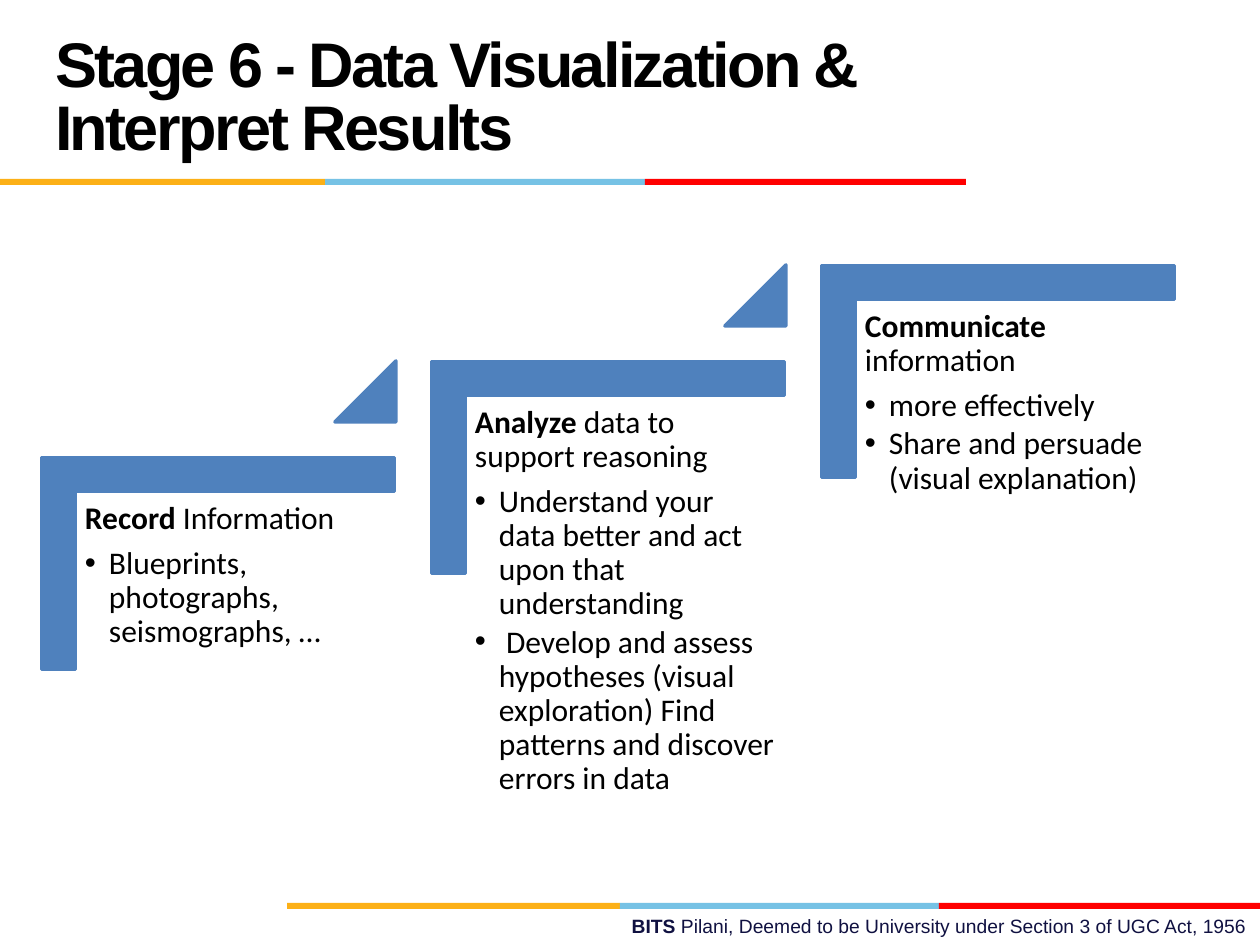
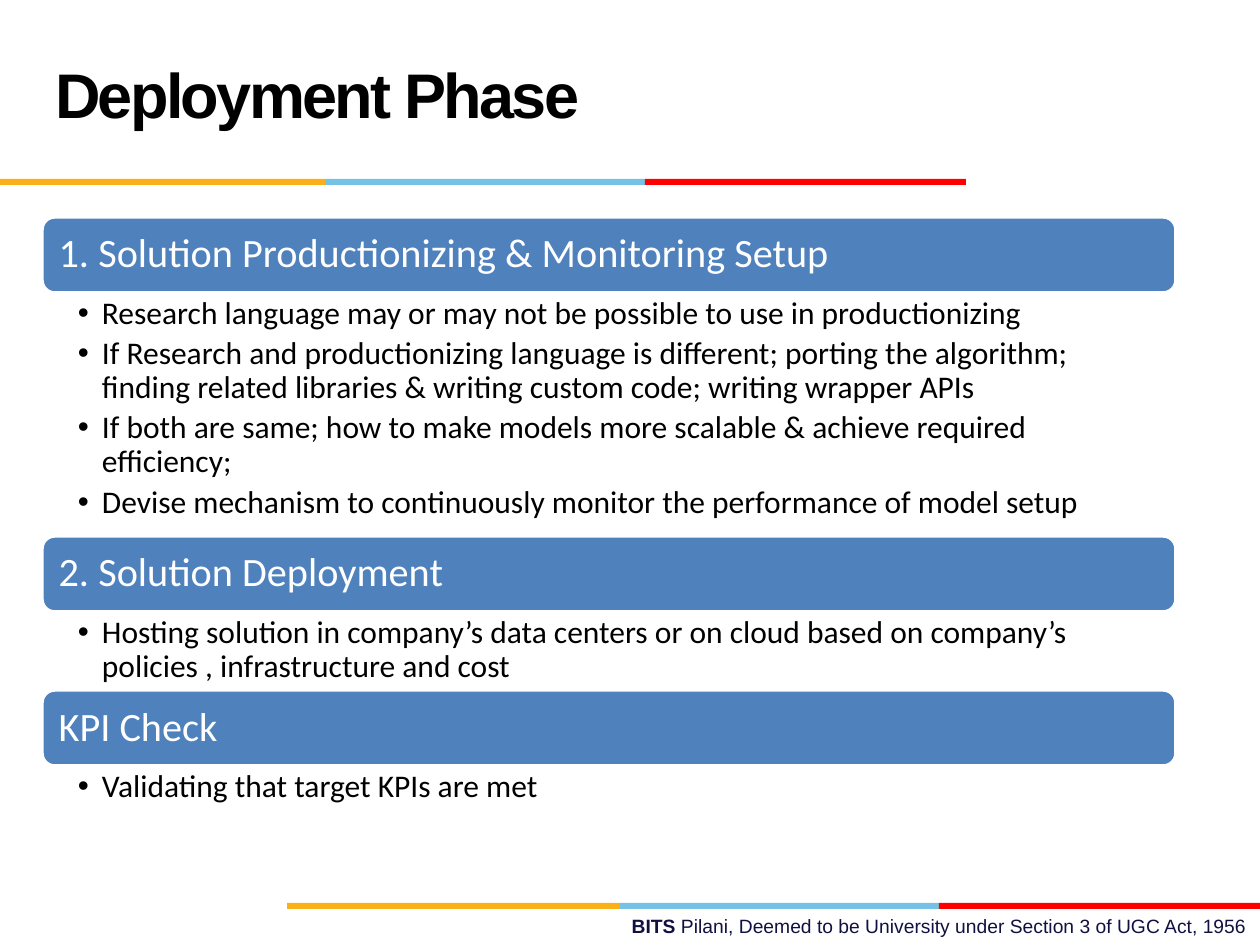
from dataclasses import dataclass

from lxml import etree
from pptx import Presentation
from pptx import util as u
from pptx.dml.color import RGBColor
from pptx.enum import shapes, text
from pptx.oxml import ns

EMU_PER_PX = 914400 / 126
SLIDE_WIDTH, SLIDE_HEIGHT = 1260, 945
TITLE_ONLY_LAYOUT = 5


@dataclass(frozen=True)
class Theme:
    black: str = "000000"
    white: str = "FFFFFF"
    navy: str = "101141"
    blue: str = "4F81BD"
    bands: tuple = ("FCB017", "76C2E5", "FF0000")
    heading_font: str = "Arial"
    body_font: str = "Calibri"
    title_size: int = 36
    bar_size: int = 23
    body_size: int = 18
    footer_size: int = 11


@dataclass(frozen=True)
class Box:
    left: int
    top: int
    width: int
    height: int

    def inner(self, left, top, width, height):
        """Return a box placed relative to this one."""
        return Box(self.left + left, self.top + top, width, height)

    def emu(self):
        return [px(value) for value in (self.left, self.top, self.width, self.height)]


THEME = Theme()
TITLE_BOX = Box(42, 21, 872, 158)
FOOTER_BOX = Box(451, 908, 809, 37)
TOP_BAND_EDGES = (0, 325, 645, 966)
BOTTOM_BAND_EDGES = (287, 620, 939, 1260)

# Each step: bold lead word, rest of the heading, bullets
STEPS = [
    ("Record", " Information", ["Blueprints, photographs, seismographs, …"]),
    ("Analyze", " data to support reasoning", [
        "Understand your data better and act upon that understanding",
        " Develop and assess hypotheses (visual exploration) Find patterns "
        "and discover errors in data",
    ]),
    ("Communicate", " information", [
        "more effectively",
        "Share and persuade (visual explanation)",
    ]),
]

# Each section: heading, height of its list, bullets
SECTIONS = [
    ("1. Solution Productionizing & Monitoring Setup", 243, [
        "Research language may or may not be possible to use in productionizing",
        "If Research and productionizing language is different; porting the algorithm; "
        "finding related libraries & writing custom code; writing wrapper APIs",
        "If both are same; how to make models more scalable & achieve required efficiency;",
        "Devise mechanism to continuously monitor the performance of model setup",
    ]),
    ("2. Solution Deployment", 78, [
        "Hosting solution in company’s data centers or on cloud based on company’s "
        "policies , infrastructure and cost",
    ]),
    ("KPI Check", 53, ["Validating that target KPIs are met"]),
]


def px(value):
    return u.Emu(round(value * EMU_PER_PX))


def set_bullet(paragraph, indent=24):
    properties = paragraph._p.get_or_add_pPr()
    properties.set("marL", str(px(indent)))
    properties.set("indent", str(-px(indent)))
    etree.SubElement(properties, ns.qn("a:buFont"), typeface="Arial")
    etree.SubElement(properties, ns.qn("a:buChar"), char="•")


def set_frame(frame, insets, anchor=text.MSO_ANCHOR.TOP):
    """Set wrapping, anchor and insets (left, top, right, bottom)."""
    frame.word_wrap = True
    frame.auto_size = text.MSO_AUTO_SIZE.NONE
    frame.vertical_anchor = anchor
    (frame.margin_left, frame.margin_top,
     frame.margin_right, frame.margin_bottom) = map(px, insets)


def write(frame, runs, *, size=THEME.body_size, font=THEME.body_font,
          colour=THEME.black, align=text.PP_ALIGN.LEFT, line_spacing=0.9,
          space_after=0, bullet=False, tracking=None):
    """Add one paragraph of (text, bold) runs; the first one fills the empty paragraph."""
    paragraph = frame.paragraphs[0]
    if paragraph.runs:
        paragraph = frame.add_paragraph()
    paragraph.alignment = align
    paragraph.line_spacing = line_spacing
    paragraph.space_before = u.Pt(0)
    paragraph.space_after = u.Pt(space_after)
    if bullet:
        set_bullet(paragraph)
    for content, bold in runs:
        run = paragraph.add_run()
        run.text = content
        run.font.size = u.Pt(size)
        run.font.name = font
        run.font.bold = bold
        run.font.color.rgb = RGBColor.from_string(colour)
        if tracking is not None:
            run._r.get_or_add_rPr().set("spc", str(round(tracking * 100)))


def write_bullets(frame, items, space_after):
    for item in items:
        write(frame, [(item, False)], bullet=True, space_after=space_after)


def add_text_box(slide, box, insets):
    frame = slide.shapes.add_textbox(*box.emu()).text_frame
    set_frame(frame, insets)
    return frame


def add_filled(slide, kind, box, fill, line=None):
    shape = slide.shapes.add_shape(kind, *box.emu())
    shape.shadow.inherit = False
    shape.fill.solid()
    shape.fill.fore_color.rgb = RGBColor.from_string(fill)
    if line:
        shape.line.color.rgb = RGBColor.from_string(line)
        shape.line.width = u.Pt(2)
    else:
        shape.line.fill.background()
    return shape


def add_bands(slide, top, edges):
    for left, right, colour in zip(edges, edges[1:], THEME.bands):
        add_filled(slide, shapes.MSO_SHAPE.RECTANGLE,
                   Box(left, top, right - left, 6), colour)


def add_footer(slide, box):
    frame = add_text_box(slide, box, (13, 6, 13, 6))
    write(frame, [("BITS ", True),
                  ("Pilani, Deemed to be University under Section 3 of UGC Act, 1956", False)],
          size=THEME.footer_size, font=THEME.heading_font, colour=THEME.navy,
          align=text.PP_ALIGN.RIGHT, line_spacing=1.0)


def add_base_slide(presentation, title):
    """Add a slide with the shared title style, bands and footer."""
    slide = presentation.slides.add_slide(presentation.slide_layouts[TITLE_ONLY_LAYOUT])
    placeholder = slide.shapes.title
    (placeholder.left, placeholder.top,
     placeholder.width, placeholder.height) = TITLE_BOX.emu()
    set_frame(placeholder.text_frame, (13, 6, 13, 6), text.MSO_ANCHOR.MIDDLE)
    write(placeholder.text_frame, [(title, True)], size=THEME.title_size,
          font=THEME.heading_font, line_spacing=u.Pt(THEME.title_size), tracking=-1.5)
    add_bands(slide, 179, TOP_BAND_EDGES)
    add_bands(slide, 903, BOTTOM_BAND_EDGES)
    add_footer(slide, FOOTER_BOX)
    return slide


def add_step(slide, box, step):
    lead, rest, bullets = step
    # The corner is turned a quarter, so its sides swap around the same centre.
    shift = (box.width - box.height) // 2
    corner = add_filled(slide, shapes.MSO_SHAPE.CORNER,
                        box.inner(shift, -shift, box.height, box.width),
                        THEME.blue, THEME.blue)
    corner.rotation = 90
    corner.adjustments[0] = corner.adjustments[1] = 0.16
    frame = add_text_box(slide, box.inner(34, 36, 319, 280), (9, 9, 9, 9))
    write(frame, [(lead, True), (rest, False)], space_after=6.3)
    write_bullets(frame, bullets, space_after=2.7)


def add_staircase(slide, box, steps):
    """Place steps rising to the right, with a triangle before each next one."""
    step_right, step_up = 390, 96
    last = len(steps) - 1
    for index, step in enumerate(steps):
        step_box = box.inner(index * step_right, (last - index) * step_up, 353, 212)
        add_step(slide, step_box, step)
        if index < last:
            triangle = add_filled(slide, shapes.MSO_SHAPE.ISOSCELES_TRIANGLE,
                                  step_box.inner(293, -step_up, 61, 61),
                                  THEME.blue, THEME.blue)
            triangle.adjustments[0] = 1


def add_section_list(slide, box, sections):
    """Stack heading bars, each followed by its list."""
    bar_height = 76
    top = 0
    for heading, list_height, bullets in sections:
        bar = add_filled(slide, shapes.MSO_SHAPE.ROUNDED_RECTANGLE,
                         box.inner(0, top, box.width, bar_height),
                         THEME.blue, THEME.white)
        set_frame(bar.text_frame, (13, 13, 13, 13), text.MSO_ANCHOR.MIDDLE)
        write(bar.text_frame, [(heading, False)], size=THEME.bar_size, colour=THEME.white)
        top += bar_height
        frame = add_text_box(slide, box.inner(0, top, box.width, list_height),
                             (36, 4, 23, 4))
        write_bullets(frame, bullets, space_after=3.6)
        top += list_height


def main():
    presentation = Presentation()
    presentation.slide_width = px(SLIDE_WIDTH)
    presentation.slide_height = px(SLIDE_HEIGHT)

    visualization = add_base_slide(
        presentation, "Stage 6 - Data Visualization & Interpret Results")
    add_staircase(visualization, Box(42, 265, 1133, 508), STEPS)

    deployment = add_base_slide(presentation, "Deployment Phase")
    add_section_list(deployment, Box(42, 217, 1134, 602), SECTIONS)

    presentation.save("out.pptx")


if __name__ == "__main__":
    main()
